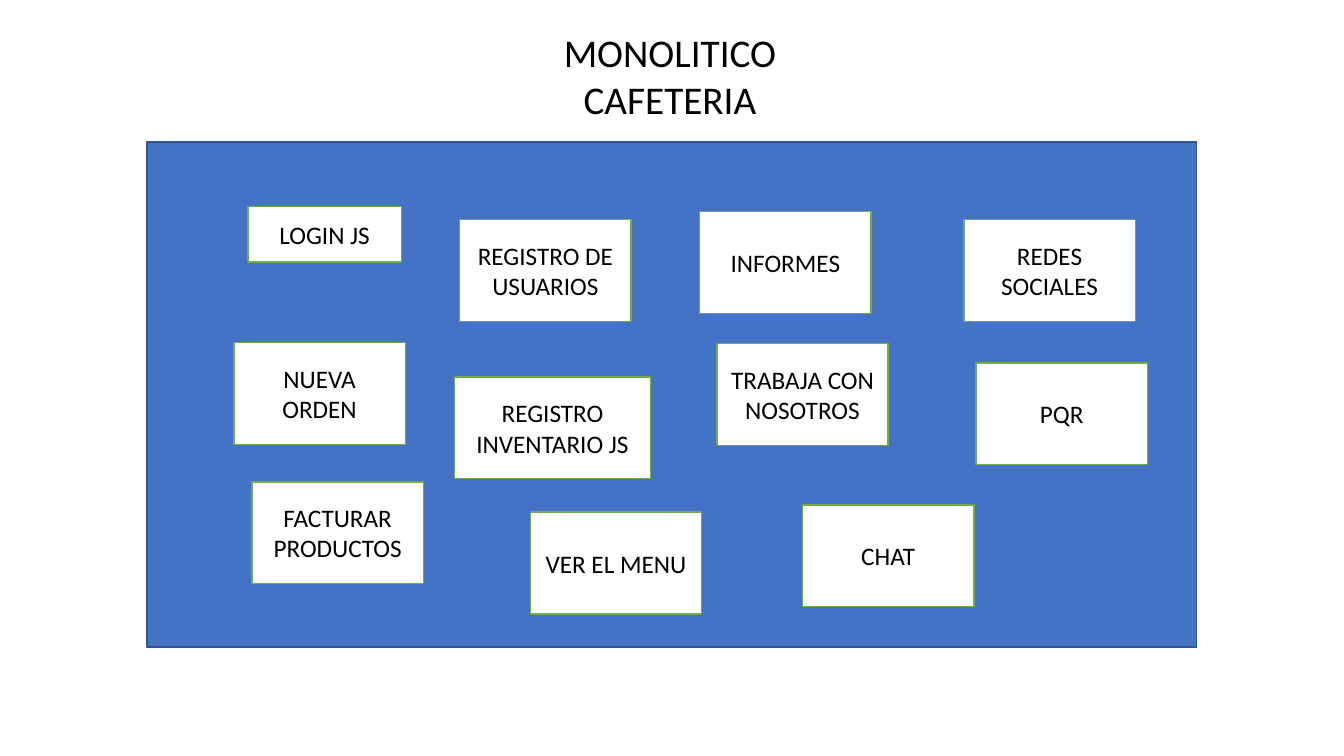
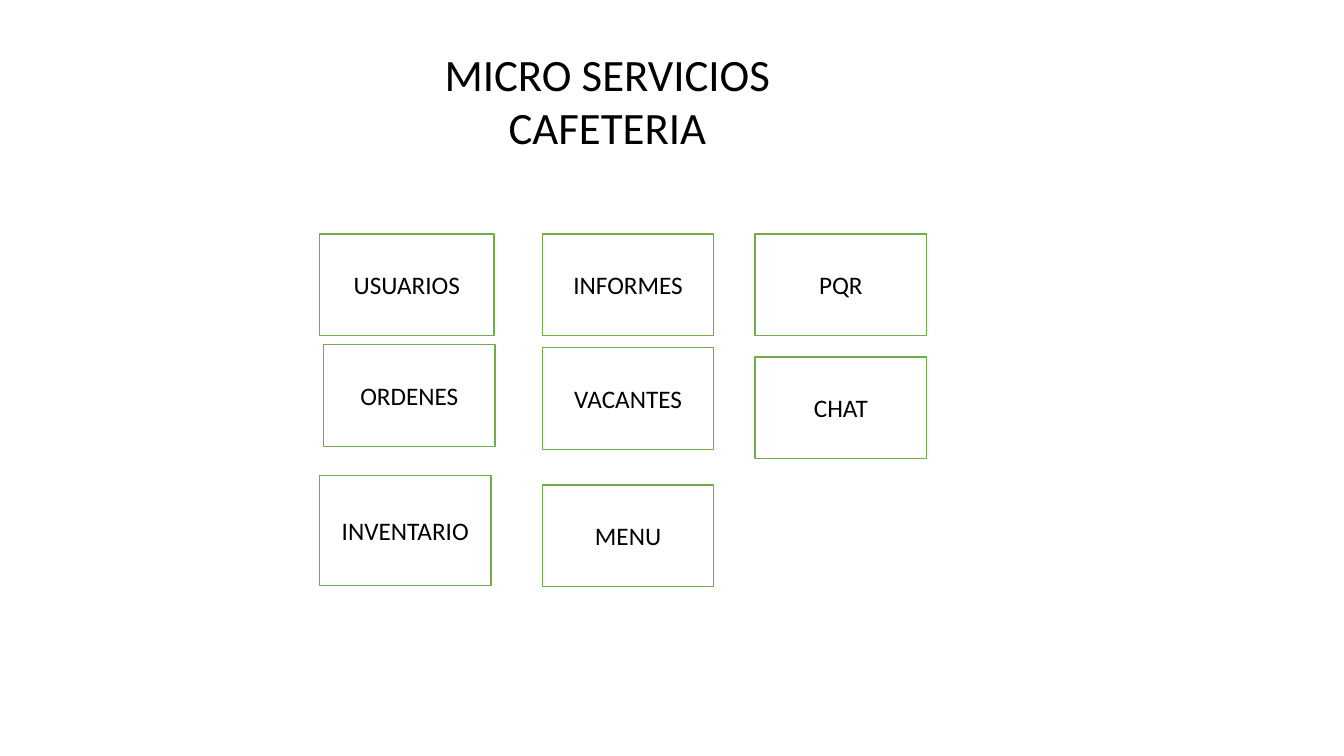
from pptx import Presentation
from pptx.dml.color import RGBColor
from pptx.enum.shapes import MSO_SHAPE
from pptx.enum.text import MSO_ANCHOR, MSO_AUTO_SIZE, PP_ALIGN
from pptx.util import Inches, Pt

WHITE = RGBColor(0xFF, 0xFF, 0xFF)
BLACK = RGBColor(0x00, 0x00, 0x00)
BLUE = RGBColor(0x44, 0x72, 0xC4)
NAVY = RGBColor(0x32, 0x54, 0x91)
GREEN = RGBColor(0x70, 0xAD, 0x47)

SIZE = (1.7, 1.01)  # usual width and height of a module

# Modules: text, left and top within the panel, size if unusual
MONO = [
    ("LOGIN JS", 1, 0.64, (1.52, 0.55)),
    ("REGISTRO INVENTARIO JS", 3.05, 2.33, (1.94, 1.01)),
    ("FACTURAR PRODUCTOS", 1.04, 3.37),
    ("NUEVA ORDEN", 0.86, 1.99),
    ("VER EL MENU", 3.8, 3.67),
    ("REGISTRO DE USUARIOS", 3.1, 0.77),
    ("TRABAJA CON NOSOTROS", 5.65, 2),
    ("INFORMES", 5.48, 0.69),
    ("CHAT", 6.5, 3.6),
    ("PQR", 8.22, 2.19),
    ("REDES SOCIALES", 8.1, 0.77),
]

# Services: three loose columns
MID, RIGHT = 2.21, 4.32
MICRO = [
    ("USUARIOS", 0, 0, (1.73, 1.01)),
    ("INVENTARIO", 0, 2.4, (1.7, 1.09)),
    ("ORDENES", 0.04, 1.1),
    ("MENU", MID, 2.49),
    ("VACANTES", MID, 1.13),
    ("INFORMES", MID, 0),
    ("CHAT", RIGHT, 1.22),
    ("PQR", RIGHT, 0),
]


def style(frame, size, **opts):
    """Format a text frame and centre its text."""
    for key, val in opts.items():
        setattr(frame, key, val)
    font = {"name": "Calibri", "size": Pt(size), "bold": False}
    for par in frame.paragraphs:
        par.alignment = PP_ALIGN.CENTER
        for key, val in font.items():
            setattr(par.font, key, val)
        par.font.color.rgb = BLACK


def add_rect(slide, box, fill, line):
    rect = slide.shapes.add_shape(MSO_SHAPE.RECTANGLE, *map(Inches, box))
    rect.shadow.inherit = False
    rect.fill.solid()
    rect.fill.fore_color.rgb = fill
    rect.line.color.rgb = line
    rect.line.width = Pt(1)
    return rect


def add_title(slide, box, text, size, wrap):
    title = slide.shapes.title
    for key, val in zip(("left", "top", "width", "height"), box):
        setattr(title, key, Inches(val))
    title.text_frame.text = text
    style(title.text_frame, size, word_wrap=wrap,
          vertical_anchor=MSO_ANCHOR.TOP, auto_size=MSO_AUTO_SIZE.NONE)


def add_cards(slide, box, items):
    """Place white cards relative to the corner of the box."""
    for text, left, top, *size in items:
        area = (box[0] + left, box[1] + top, *(size[0] if size else SIZE))
        card = add_rect(slide, area, WHITE, GREEN)
        card.text_frame.text = text
        style(card.text_frame, 18, word_wrap=True,
              vertical_anchor=MSO_ANCHOR.MIDDLE)


def add_slide(deck):
    return deck.slides.add_slide(deck.slide_layouts[5])


def mono_slide(deck, box):
    slide = add_slide(deck)
    add_title(slide, (5.48, 0.23, 2.33, 1.04),
              "MONOLITICO\nCAFETERIA", 28, False)
    add_rect(slide, box, BLUE, NAVY)
    add_cards(slide, box, MONO)


def micro_slide(deck, box):
    slide = add_slide(deck)
    add_title(slide, (2.35, 0.41, 7.35, 1.18),
              "MICRO SERVICIOS\nCAFETERIA", 32, True)
    add_cards(slide, box, MICRO)


def main():
    deck = Presentation()
    deck.slide_width, deck.slide_height = Inches(13.33), Inches(7.5)
    mono_slide(deck, (1.46, 1.41, 10.41, 5.01))
    micro_slide(deck, (3.17, 2.32, 6.02, 3.5))
    deck.save("out.pptx")


if __name__ == "__main__":
    main()
